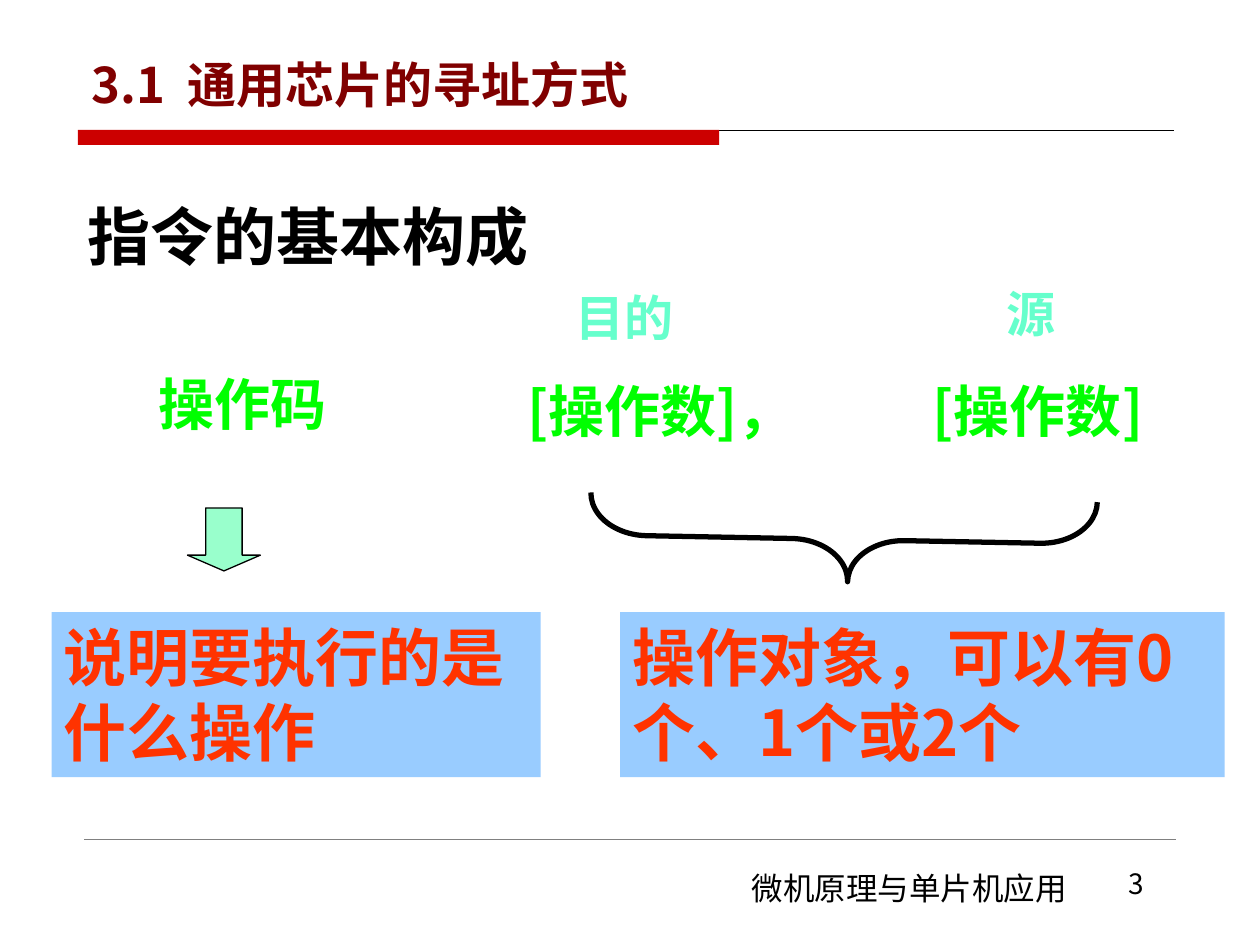
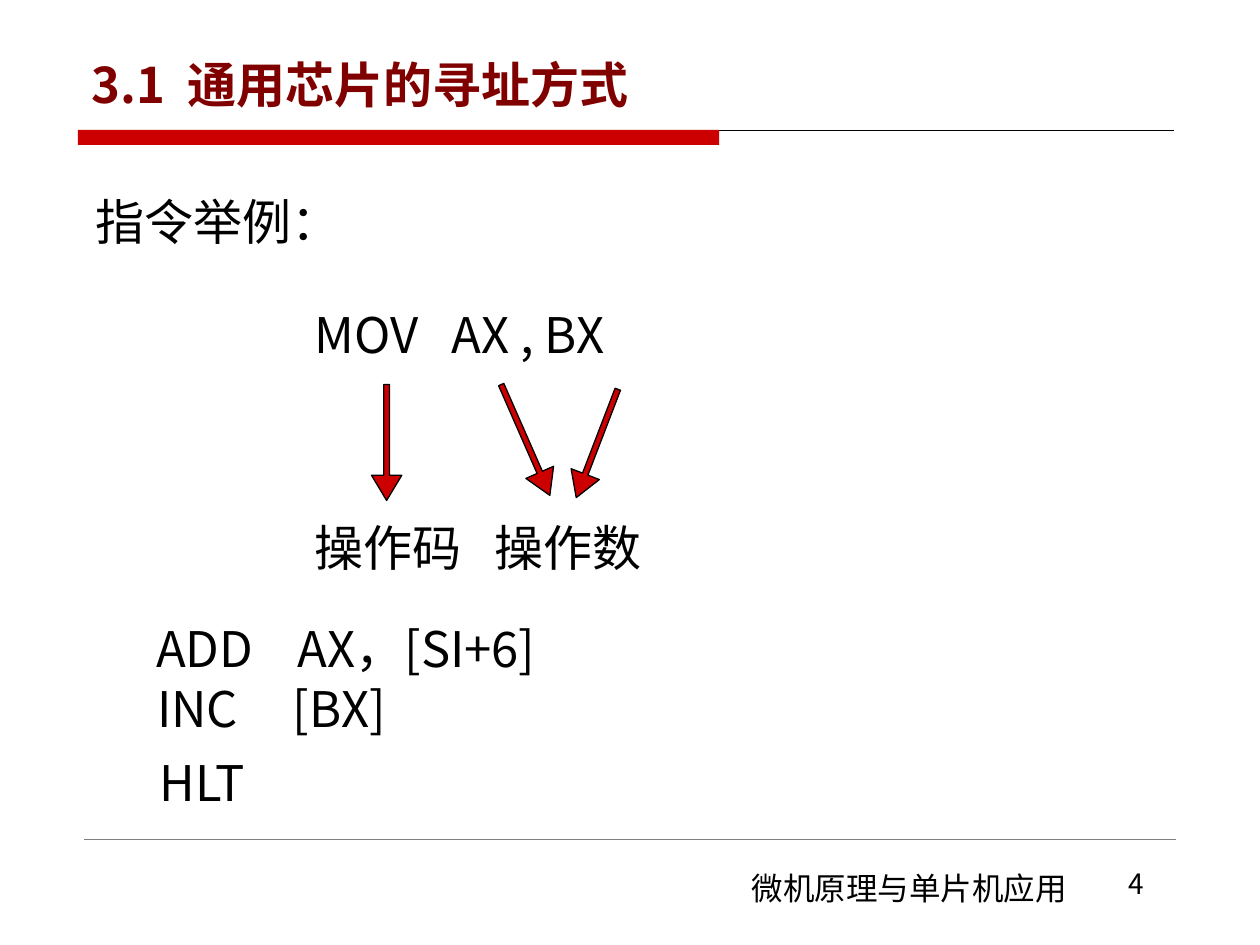
from dataclasses import dataclass
from typing import Optional

from lxml import etree
from pptx import Presentation
from pptx.dml.color import RGBColor
from pptx.enum.shapes import MSO_CONNECTOR, MSO_SHAPE
from pptx.enum.text import MSO_ANCHOR, MSO_AUTO_SIZE, PP_ALIGN
from pptx.oxml.ns import qn
from pptx.util import Cm, Pt

STRAIGHT = MSO_CONNECTOR.STRAIGHT
RECTANGLE = MSO_SHAPE.RECTANGLE
DOWN_ARROW = MSO_SHAPE.DOWN_ARROW
LEFT_BRACE = MSO_SHAPE.LEFT_BRACE
TOP = MSO_ANCHOR.TOP
BOTTOM = MSO_ANCHOR.BOTTOM
LEFT = PP_ALIGN.LEFT
CENTER = PP_ALIGN.CENTER
NO_AUTOFIT = MSO_AUTO_SIZE.NONE

FONT = "Noto Sans CJK SC"
BLACK = "000000"
GRAY = "808080"
RED = "CC0000"
MAROON = "800000"
GREEN = "00FF00"
AQUA = "66FFCC"
MINT = "99FFCC"
SKY = "99CCFF"
ORANGE = "FF3300"

TITLE = "3.1  通用芯片的寻址方式"
COURSE = "微机原理与单片机应用"
FIRST_NUMBER = 3
TITLE_ONLY = 5
BAND_TOP = 2.62
BOX_TOP = 12.34
BOX_HEIGHT = 3.33


@dataclass(frozen=True)
class Style:
    size: float
    color: str = BLACK
    bold: bool = False
    align: PP_ALIGN = LEFT
    anchor: MSO_ANCHOR = TOP
    wrap: bool = True
    insets: bool = True


@dataclass(frozen=True)
class Label:
    text: str
    left: float
    top: float
    width: float
    height: float
    style: Style
    tab: Optional[float] = None


@dataclass(frozen=True)
class Figure:
    kind: MSO_SHAPE
    left: float
    top: float
    width: float
    height: float
    fill: Optional[str] = None
    line: Optional[str] = BLACK
    line_width: float = 0.75
    rotation: float = 0
    adjustments: tuple[float, ...] = ()


TITLE_STYLE = Style(28, MAROON, bold=True, anchor=BOTTOM)
FOOTER_STYLE = Style(18)
NUMBER_STYLE = Style(16)
HEADING = Style(36, bold=True, anchor=BOTTOM)
PART = Style(32, GREEN, bold=True, align=CENTER, wrap=False)
ROLE = Style(28, AQUA, bold=True, insets=False)
EXPLANATION = Style(36, ORANGE, bold=True)
CODE = Style(28)

STRUCTURE_LABELS = (
    Label("指令的基本构成", 1.52, 3.73, 20.96, 1.91, HEADING),
    Label("操作码 ", 1.52, 7.32, 6.99, 2.34, PART),
    Label("[操作数]，", 9.93, 7.47, 6.78, 1.91, PART),
    Label("[操作数]", 17.75, 7.47, 6.35, 1.91, PART),
    Label("目的", 11.61, 5.79, 3.38, 1.19, ROLE),
    Label("源", 20.29, 5.72, 1.9, 1.19, ROLE),
)
STRUCTURE_FIGURES = (
    Figure(DOWN_ARROW, 3.78, 10.24, 1.47, 1.27, MINT, adjustments=(0.5, 0.25)),
    Figure(LEFT_BRACE, 16.15, 5.77, 1.7, 10.21, line_width=3, rotation=271.1,
           adjustments=(0.67, 0.51)),
)
EXPLANATIONS = (
    Label("说明要执行的是什么操作", 1.04, BOX_TOP, 9.86, BOX_HEIGHT, EXPLANATION),
    Label("操作对象，可以有0个、1个或2个", 12.5, BOX_TOP, 12.19, BOX_HEIGHT, EXPLANATION),
)
EXAMPLE_LABELS = (
    Label("指令举例：", 1.68, 3.73, 20.32, 1.45, CODE),
    Label("MOV\tAX , BX", 6.1, 6.02, 18.21, 1.45, CODE, tab=2.75),
    Label("操作码\t操作数", 6.1, 10.31, 15.19, 1.45, CODE, tab=3.62),
    Label("ADD\tAX，[SI+6]", 2.9, 12.34, 17.12, 1.45, CODE, tab=2.85),
    Label("INC\t[BX]", 2.92, 13.56, 12.9, 1.45, CODE, tab=2.73),
    Label("HLT", 2.97, 15.04, 12.9, 1.45, CODE),
)
EXAMPLE_ARROWS = tuple(
    Figure(DOWN_ARROW, left, top, 0.61, height, RED, rotation=rotation,
           adjustments=(0.19, 0.83))
    for left, top, height, rotation in (
        (7.49, 7.75, 2.34, 0),
        (10.29, 7.65, 2.44, 336.3),
        (11.73, 7.77, 2.34, 21),
    )
)


def rgb(color: str) -> RGBColor:
    return RGBColor.from_string(color)


def write(shape, text: str, style: Style, tab: Optional[float] = None) -> None:
    text_frame = shape.text_frame
    text_frame.text = text
    text_frame.auto_size = NO_AUTOFIT
    text_frame.word_wrap = style.wrap
    text_frame.vertical_anchor = style.anchor
    if not style.insets:
        text_frame.margin_left = text_frame.margin_right = 0
        text_frame.margin_top = text_frame.margin_bottom = 0
    paragraph = text_frame.paragraphs[0]
    paragraph.alignment = style.align
    if tab is not None:
        properties = paragraph._p.get_or_add_pPr()
        tab_list = etree.SubElement(properties, qn("a:tabLst"))
        etree.SubElement(tab_list, qn("a:tab"), pos=str(Cm(tab)), algn="l")
    for run in paragraph.runs:
        run.font.size = Pt(style.size)
        run.font.bold = style.bold
        run.font.color.rgb = rgb(style.color)
        run.font.name = FONT
        etree.SubElement(run.font._element, qn("a:ea"), typeface=FONT)


def add_label(slide, label: Label) -> None:
    shape = slide.shapes.add_textbox(
        Cm(label.left), Cm(label.top), Cm(label.width), Cm(label.height))
    write(shape, label.text, label.style, label.tab)


def add_figure(slide, figure: Figure):
    shape = slide.shapes.add_shape(
        figure.kind, Cm(figure.left), Cm(figure.top), Cm(figure.width), Cm(figure.height))
    shape.shadow.inherit = False
    shape.rotation = figure.rotation
    for index, value in enumerate(figure.adjustments):
        shape.adjustments[index] = value
    if figure.fill:
        shape.fill.solid()
        shape.fill.fore_color.rgb = rgb(figure.fill)
    else:
        shape.fill.background()
    if figure.line:
        shape.line.color.rgb = rgb(figure.line)
        shape.line.width = Pt(figure.line_width)
    else:
        shape.line.fill.background()
    return shape


def add_explanation(slide, label: Label) -> None:
    shape = add_figure(slide, Figure(
        RECTANGLE, label.left, label.top, label.width, label.height, SKY, line=None))
    write(shape, label.text, label.style)


def add_rule(slide, left: float, right: float, top: float, width: float, color: str) -> None:
    connector = slide.shapes.add_connector(STRAIGHT, Cm(left), Cm(top), Cm(right), Cm(top))
    connector.line.color.rgb = rgb(color)
    connector.line.width = Pt(width)
    etree.SubElement(connector._element.spPr, qn("a:effectLst"))


def add_base_slide(presentation, number: int):
    slide = presentation.slides.add_slide(presentation.slide_layouts[TITLE_ONLY])
    title = slide.shapes.title
    title.left, title.top, title.width, title.height = Cm(1.6), Cm(0.53), Cm(22.23), Cm(1.88)
    write(title, TITLE, TITLE_STYLE)
    add_rule(slide, 1.57, 23.67, BAND_TOP, 0.5, BLACK)
    add_figure(slide, Figure(RECTANGLE, 1.57, BAND_TOP, 12.93, 0.3, RED, line=None))
    add_rule(slide, 1.7, 23.7, 16.92, 0.25, GRAY)
    add_label(slide, Label(COURSE, 14.91, 17.4, 7.01, 1.02, FOOTER_STYLE))
    add_label(slide, Label(str(number), 22.5, 17.35, 2.01, 1.32, NUMBER_STYLE))
    return slide


def add_structure_slide(presentation, number: int) -> None:
    slide = add_base_slide(presentation, number)
    for label in STRUCTURE_LABELS:
        add_label(slide, label)
    for figure in STRUCTURE_FIGURES:
        add_figure(slide, figure)
    for label in EXPLANATIONS:
        add_explanation(slide, label)


def add_example_slide(presentation, number: int) -> None:
    slide = add_base_slide(presentation, number)
    for label in EXAMPLE_LABELS:
        add_label(slide, label)
    for arrow in EXAMPLE_ARROWS:
        add_figure(slide, arrow)


def main() -> None:
    presentation = Presentation()
    presentation.slide_width = Cm(25.4)
    presentation.slide_height = Cm(19.05)
    builders = (add_structure_slide, add_example_slide)
    for number, build in enumerate(builders, start=FIRST_NUMBER):
        build(presentation, number)
    presentation.save("out.pptx")


main()
